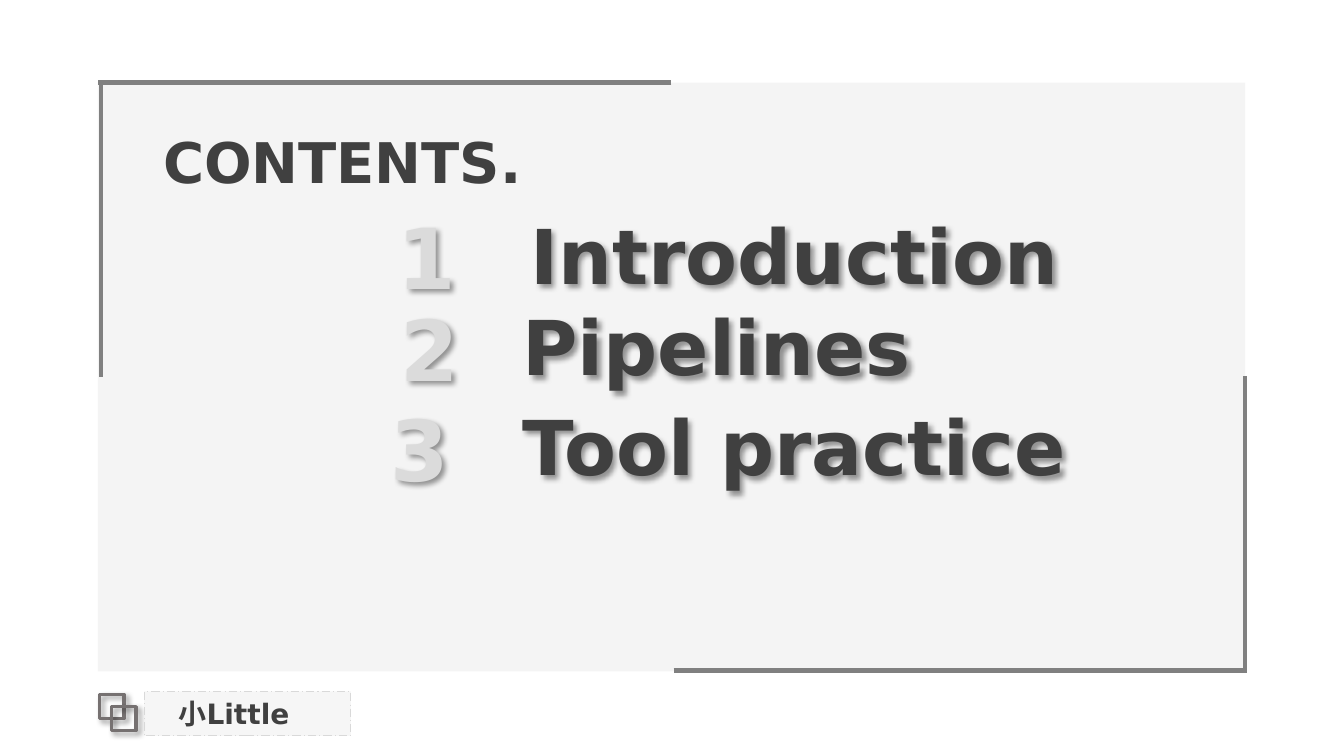
"""Build a contents slide with a framed panel, three agenda items and a name tag."""
from typing import NamedTuple

from lxml.etree import SubElement
from pptx import Presentation
from pptx.dml.color import RGBColor
from pptx.enum.dml import MSO_LINE
from pptx.enum.shapes import MSO_CONNECTOR, MSO_SHAPE
from pptx.enum.text import MSO_ANCHOR, PP_ALIGN
from pptx.oxml.ns import qn
from pptx.util import Inches, Pt

FONT = "DejaVu Sans"
COLORS = {
    "panel": "F2F2F2",
    "frame": "808080",
    "icon": "767171",
    "tag_line": "D9D9D9",
    "text": "404040",
    "number": "DBDBDB",
    "shadow": "000000",
}


class Area(NamedTuple):
    left: float
    top: float
    width: float
    height: float


class Edge(NamedTuple):
    x1: float
    y1: float
    x2: float
    y2: float


class Item(NamedTuple):
    number: str
    title: str
    top: float
    number_left: float
    title_left: float


PANEL = Area(0.97, 0.82, 11.38, 5.84)
TAG = Area(1.43, 6.86, 2.05, 0.44)
HEADING = Area(1.52, 1.22, 4.26, 0.77)
ICON_SQUARES = [Area(0.99, 6.89, 0.24, 0.24), Area(1.11, 7.01, 0.24, 0.24)]
FRAME_EDGES = [
    Edge(1, 3.74, 1, 0.82),
    Edge(6.66, 0.82, 0.97, 0.82),
    Edge(12.35, 3.73, 12.35, 6.65),
    Edge(6.68, 6.65, 12.37, 6.65),
]
ITEMS = [
    Item("1", "Introduction", 1.99, 3.84, 4.39),
    Item("2", "Pipelines", 2.9, 3.87, 3.62),
    Item("3", "Tool practice", 3.89, 3.77, 4.39),
]
NUMBER_WIDTH, NUMBER_HEIGHT = 0.78, 1.11
TITLE_WIDTH, TITLE_HEIGHT = 6.98, 1.01
TITLE_DROP = 0.03


def rgb(name: str) -> RGBColor:
    return RGBColor.from_string(COLORS[name])


def add_shadow(shape) -> None:
    effects = shape._element.spPr.get_or_add_effectLst() if hasattr(
        shape._element.spPr, "get_or_add_effectLst") else SubElement(
        shape._element.spPr, qn("a:effectLst"))
    shadow = SubElement(effects, qn("a:outerShdw"), blurRad=str(Pt(4)), dist=str(Pt(3)),
                        dir="2700000", algn="tl", rotWithShape="0")
    color = SubElement(shadow, qn("a:srgbClr"), val=COLORS["shadow"])
    SubElement(color, qn("a:alpha"), val="40000")


def add_rect(slide, area: Area, fill: str | None = None, opacity: int = 100):
    rect = slide.shapes.add_shape(MSO_SHAPE.RECTANGLE, *map(Inches, area))
    rect.shadow.inherit = False
    rect.line.fill.background()
    if fill is None:
        rect.fill.background()
    else:
        rect.fill.solid()
        rect.fill.fore_color.rgb = rgb(fill)
        color = rect._element.spPr.find(qn("a:solidFill"))[0]
        SubElement(color, qn("a:alpha"), val=str(opacity * 1000))
    return rect


def set_line(shape, color: str, width: float) -> None:
    shape.line.color.rgb = rgb(color)
    shape.line.width = Pt(width)


def add_edge(slide, edge: Edge) -> None:
    line = slide.shapes.add_connector(MSO_CONNECTOR.STRAIGHT, *map(Inches, edge))
    set_line(line, "frame", 3.25)
    SubElement(line._element.spPr, qn("a:effectLst"))


def write_text(shape, text: str, *, size: float, color: str = "text",
               align=PP_ALIGN.LEFT, wrap: bool = True) -> None:
    frame = shape.text_frame
    frame.word_wrap = wrap
    para = frame.paragraphs[0]
    para.alignment = align
    span = para.add_run()
    span.text = text
    span.font.name = FONT
    span.font.size = Pt(size)
    span.font.bold = True
    span.font.color.rgb = rgb(color)


def add_text(slide, area: Area, text: str, *, shadow: bool = False, **style) -> None:
    box = slide.shapes.add_textbox(*map(Inches, area))
    write_text(box, text, **style)
    if shadow:
        add_shadow(box)


def add_name_tag(slide) -> None:
    for area in ICON_SQUARES:
        square = add_rect(slide, area)
        set_line(square, "icon", 2.25)
        add_shadow(square)
    tag = add_rect(slide, TAG, "panel", 63)
    set_line(tag, "tag_line", 0.75)
    tag.line.dash_style = MSO_LINE.LONG_DASH_DOT
    tag.text_frame.margin_left = Inches(0.34)
    tag.text_frame.vertical_anchor = MSO_ANCHOR.MIDDLE
    write_text(tag, "小Little", size=20)


def add_item(slide, item: Item) -> None:
    number_area = Area(item.number_left, item.top, NUMBER_WIDTH, NUMBER_HEIGHT)
    title_area = Area(item.title_left, item.top + TITLE_DROP, TITLE_WIDTH, TITLE_HEIGHT)
    add_text(slide, number_area, item.number, size=60, color="number",
             align=PP_ALIGN.CENTER, wrap=False, shadow=True)
    add_text(slide, title_area, item.title, size=54, align=PP_ALIGN.CENTER, shadow=True)


def main() -> None:
    deck = Presentation()
    deck.slide_width, deck.slide_height = Inches(13.33), Inches(7.5)
    page = deck.slides.add_slide(deck.slide_layouts[6])
    add_name_tag(page)
    add_rect(page, PANEL, "panel", 79)
    for edge in FRAME_EDGES:
        add_edge(page, edge)
    add_text(page, HEADING, "CONTENTS.", size=40)
    for item in ITEMS:
        add_item(page, item)
    deck.save("out.pptx")


if __name__ == "__main__":
    main()
